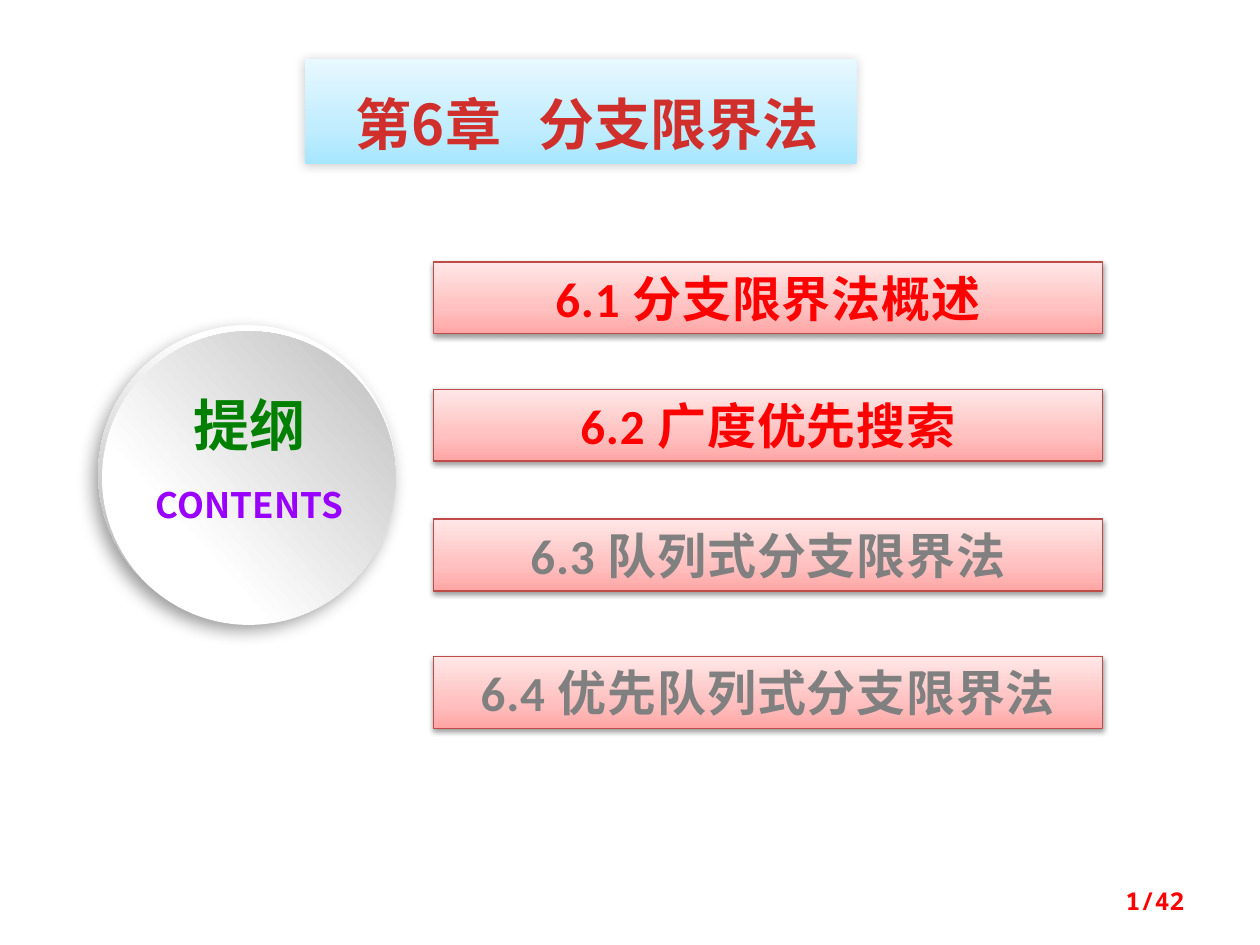
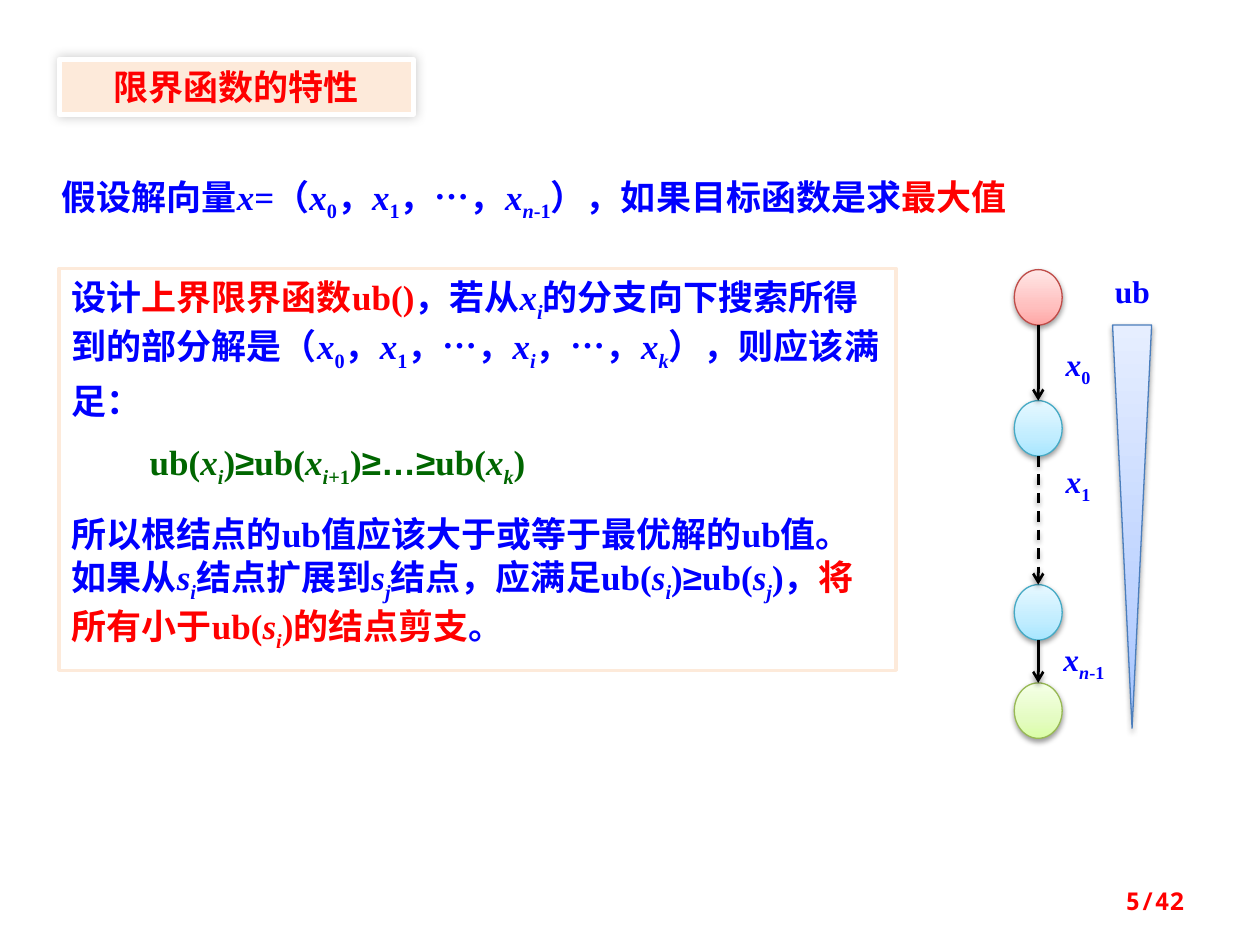
from collections import namedtuple
from lxml.etree import SubElement
from pptx import Presentation
from pptx.dml.color import RGBColor
from pptx.enum.dml import MSO_LINE
from pptx.enum.shapes import MSO_CONNECTOR, MSO_SHAPE
from pptx.enum.text import MSO_ANCHOR, MSO_AUTO_SIZE, PP_ALIGN
from pptx.oxml.ns import qn
from pptx.util import Inches, Pt

COLS, ROWS = 100, 75
WIDTH, HEIGHT = Inches(10), Inches(7.5)
RED, BLUE, GREEN, GRAY = "FF0000", "0000FF", "006600", "808080"
CREAM, WHITE, BLACK = "FDEADA", "FFFFFF", "000000"
HAN, SERIF, MONO = "Noto Sans CJK SC", "Times New Roman", "Noto Sans Mono"
PINK = ("FFA6A5", "FFC0BF", "FFE7E7")
SKY = ("A7E6FF", "C1EDFF", "E7F8FF")
LIME = ("DAFDA7", "E4FCC2", "F5FFE7")
NAVY = ("A4C4FF", "BFD4FF", "E6EEFF")
SOFT = (38, 3.1, 1.6, 90)

Box = namedtuple("Box", "x y w h")
Look = namedtuple("Look", "size color font bold", defaults=(True,))


def part(box, x, y, w, h):
    return Box(box.x + x, box.y + y, w, h)


def col(n):
    return round(WIDTH * n / COLS)


def row(n):
    return round(HEIGHT * n / ROWS)


def place(box):
    return col(box.x), row(box.y), col(box.w), row(box.h)


def rgb(code):
    return RGBColor.from_string(code)


def cast(item, alpha=None, blur=0, dist=0, angle=0):
    effect = SubElement(item._element.spPr, qn("a:effectLst"))
    if alpha is None:
        return
    outer = SubElement(effect, qn("a:outerShdw"), blurRad=str(Pt(blur)),
                       dist=str(Pt(dist)), dir=str(angle * 60000),
                       algn="ctr", rotWithShape="0")
    color = SubElement(outer, qn("a:srgbClr"), val=BLACK)
    SubElement(color, qn("a:alpha"), val=str(alpha * 1000))


def blend(shape, stops, angle):
    shape.fill.gradient()
    shape.fill.gradient_angle = angle
    group = shape._element.spPr.find(qn("a:gradFill")).find(qn("a:gsLst"))
    group.clear()
    for pos, code in stops:
        stop = SubElement(group, qn("a:gs"), pos=str(pos * 1000))
        SubElement(stop, qn("a:srgbClr"), val=code)


def draw(slide, kind, box, fill, line=None, width=0.75, shadow=(), angle=90):
    shape = slide.shapes.add_shape(kind, *place(box))
    if isinstance(fill, str):
        shape.fill.solid()
        shape.fill.fore_color.rgb = rgb(fill)
    else:
        stops = fill if isinstance(fill[0], tuple) else zip((0, 35, 100), fill)
        blend(shape, stops, angle)
    if line:
        shape.line.color.rgb = rgb(line)
        shape.line.width = Pt(width)
    else:
        shape.line.fill.background()
    cast(shape, *shadow)
    return shape


def setup(shape, left=1, top=0.5, right=1):
    frame = shape.text_frame
    frame.word_wrap = True
    frame.auto_size = MSO_AUTO_SIZE.SHAPE_TO_FIT_TEXT
    frame.vertical_anchor = MSO_ANCHOR.TOP
    frame.margin_left, frame.margin_right = col(left), col(right)
    frame.margin_top, frame.margin_bottom = row(top), row(0.5)
    return frame


def write(para, runs, look, align=PP_ALIGN.LEFT, track=0):
    para.alignment = align
    for item in runs:
        text, flags = (item, "") if isinstance(item, str) else item
        run = para.add_run()
        run.text = text
        font = run.font
        font.size, font.bold, font.italic = Pt(look.size), look.bold, "i" in flags
        font.color.rgb = rgb(RED if "r" in flags else look.color)
        font.name = "Arial" if "a" in flags else HAN if "h" in flags else look.font
        props = run._r.get_or_add_rPr()
        SubElement(props, qn("a:ea"), typeface=HAN)
        if "s" in flags:
            props.set("baseline", "-25000")
        space = 14 if "g" in flags else track
        if space:
            props.set("spc", str(round(space * 100)))


def label(slide, box, runs, look, align=PP_ALIGN.LEFT, pad=1):
    frame = setup(slide.shapes.add_textbox(*place(box)), pad, right=pad)
    write(frame.paragraphs[0], runs, look, align)
    return frame


def var(name, sub, tail="", tint=""):
    slant = "" if sub.isdigit() else "i"
    runs = [(name, "i" + tint), (sub, "s" + slant + tint)]
    return runs + [(tail, "s" + tint)] if tail else runs


def footer(slide, number):
    frame = label(slide, Box(71.7, 69.5, 23.3, 4), [f"{number}/42"],
                  Look(14, RED, MONO), PP_ALIGN.RIGHT)
    frame.auto_size = MSO_AUTO_SIZE.NONE
    frame.vertical_anchor = MSO_ANCHOR.MIDDLE


def title(slide, box):
    shape = draw(slide, MSO_SHAPE.RECTANGLE, box, SKY, shadow=(20, 6, 1, 135))
    write(setup(shape, left=2, top=2.4).paragraphs[0],
          ["第6章", (" ", "g"), "分支限界法"],
          Look(32, "D02F2C", HAN), PP_ALIGN.CENTER)


def badge(slide, box):
    draw(slide, MSO_SHAPE.OVAL, box, ((17, WHITE), (88, "B8B8B8")),
         shadow=(39, 10, 5, 123), angle=253)
    draw(slide, MSO_SHAPE.OVAL, part(box, 0.3, 0.5, 23.3, 23.3),
         ((29, WHITE), (98, "BFBFBF")), angle=42)
    label(slide, part(box, 2.8, 12.1, 18.4, 4.4), ["CONTENTS"],
          Look(20, "9900FF", HAN), PP_ALIGN.CENTER)
    label(slide, part(box, 4.3, 4.7, 15.4, 6.4), ["提纲"],
          Look(32, "008000", HAN), PP_ALIGN.CENTER)


def agenda(slide, box):
    items = ((0, "6.1 分支限界法概述", RED), (10.1, "6.2 广度优先搜索", RED),
             (20.4, "6.3 队列式分支限界法", GRAY),
             (31.3, "6.4 优先队列式分支限界法", GRAY))
    for top, text, color in items:
        bar = draw(slide, MSO_SHAPE.RECTANGLE, part(box, 0, top, box.w, 5.7),
                   PINK, "BF4C48", shadow=SOFT)
        write(setup(bar).paragraphs[0], [text], Look(28, color, "Calibri"),
              PP_ALIGN.CENTER, 0.5)


def tag(slide, box, text):
    shape = draw(slide, MSO_SHAPE.RECTANGLE, box, CREAM, WHITE, 3, (20, 6, 0, 315))
    write(setup(shape).paragraphs[0], [text], Look(20, RED, HAN), PP_ALIGN.CENTER)


def lead(slide, box):
    runs = ["假设解向量", ("x", "i"), "=（", *var("x", "0"), "，", *var("x", "1"),
            "，…，", *var("x", "n", "-1"), "），如果目标函数是求", ("最大值", "rh")]
    label(slide, box, runs, Look(20, BLUE, SERIF))


def proof(slide, box):
    bound = ["设计", ("上界限界函数ub()", "r"), "，若从", *var("x", "i"),
             "的分支向下搜索所得到的部分解是（", *var("x", "0"), "，",
             *var("x", "1"), "，…，", *var("x", "i"), "，…，", *var("x", "k"),
             "），则应该满足："]
    chain = ["ub(", *var("x", "i"), ")", ("≥", "a"), "ub(", *var("x", "i", "+1"),
             ")", ("≥…≥", "a"), "ub(", *var("x", "k"), ")"]
    prune = ["所以根结点的ub值应该大于或等于最优解的ub值。如果从", *var("s", "i"),
             "结点扩展到", *var("s", "j"), "结点，应满足ub(", *var("s", "i"), ")",
             ("≥", "a"), "ub(", *var("s", "j"), ")，", ("将所有小于ub(", "r"),
             *var("s", "i", tint="r"), (")的结点剪支", "r"), "。"]
    shape = draw(slide, MSO_SHAPE.RECTANGLE, box, WHITE, CREAM, 2)
    frame = setup(shape)
    for i, (runs, color) in enumerate(((bound, BLUE), (chain, GREEN), (prune, BLUE))):
        para = frame.add_paragraph() if i else frame.paragraphs[0]
        para.line_spacing = Pt(28)
        if i:
            para.space_before = Pt(10)
        if runs is chain:
            para._p.get_or_add_pPr().set("marL", str(col(6.2)))
        write(para, runs, Look(20, color, SERIF))


def arrow(slide, x, top, end, dash):
    line = slide.shapes.add_connector(MSO_CONNECTOR.STRAIGHT,
                                      col(x), row(top), col(x), row(end))
    line.line.color.rgb = rgb(BLACK)
    line.line.width = Pt(1.5)
    if dash:
        line.line.dash_style = MSO_LINE.DASH
    SubElement(line.line._get_or_add_ln(), qn("a:tailEnd"), type="arrow")
    cast(line, *SOFT)


def tree(slide, box):
    wide, high = 3.8, 4.4
    nodes = ((0, PINK, "BF4C48"), (10.4, SKY, "46AAC5"),
             (25, SKY, "46AAC5"), (32.8, LIME, "98B955"))
    for top, fill, line in nodes:
        draw(slide, MSO_SHAPE.OVAL, part(box, 0, top, wide, high), fill, line,
             shadow=SOFT)
    tops = [box.y + node[0] for node in nodes]
    for i, (top, end) in enumerate(zip(tops, tops[1:])):
        arrow(slide, box.x + wide / 2, top + high, end, i == 1)
    look = Look(18, BLUE, SERIF)
    label(slide, part(box, 3.1, 5.5, 4.7, 4), var("x", "0"), look)
    label(slide, part(box, 3.1, 14.8, 4.7, 4), var("x", "1"), look)
    label(slide, part(box, 3.9, 28.9, 5.5, 4), var("x", "n", "-1"), look, pad=0)
    draw(slide, MSO_SHAPE.FLOWCHART_MERGE, part(box, 7.8, 4.4, 3.1, 32), NAVY,
         "4B7EBC", shadow=SOFT)
    label(slide, part(box, 7, -0.3, 5.5, 4), ["ub"], look)


def cover(slide):
    title(slide, Box(24.2, 4.7, 43.8, 8.3))
    agenda(slide, Box(34.4, 20.8, 53.1, 37))
    badge(slide, Box(7.8, 25.8, 23.6, 23.6))
    footer(slide, 1)


def topic(slide):
    proof(slide, Box(4.7, 21.3, 66.4, 31.9))
    tag(slide, Box(4.7, 4.7, 28.1, 4.4), "限界函数的特性")
    lead(slide, Box(3.9, 13.4, 79.7, 4.4))
    tree(slide, Box(80.5, 21.4, 12.5, 37.2))
    footer(slide, 5)


def main():
    deck = Presentation()
    deck.slide_width, deck.slide_height = WIDTH, HEIGHT
    for build in (cover, topic):
        build(deck.slides.add_slide(deck.slide_layouts[6]))
    deck.save("out.pptx")


if __name__ == "__main__":
    main()
